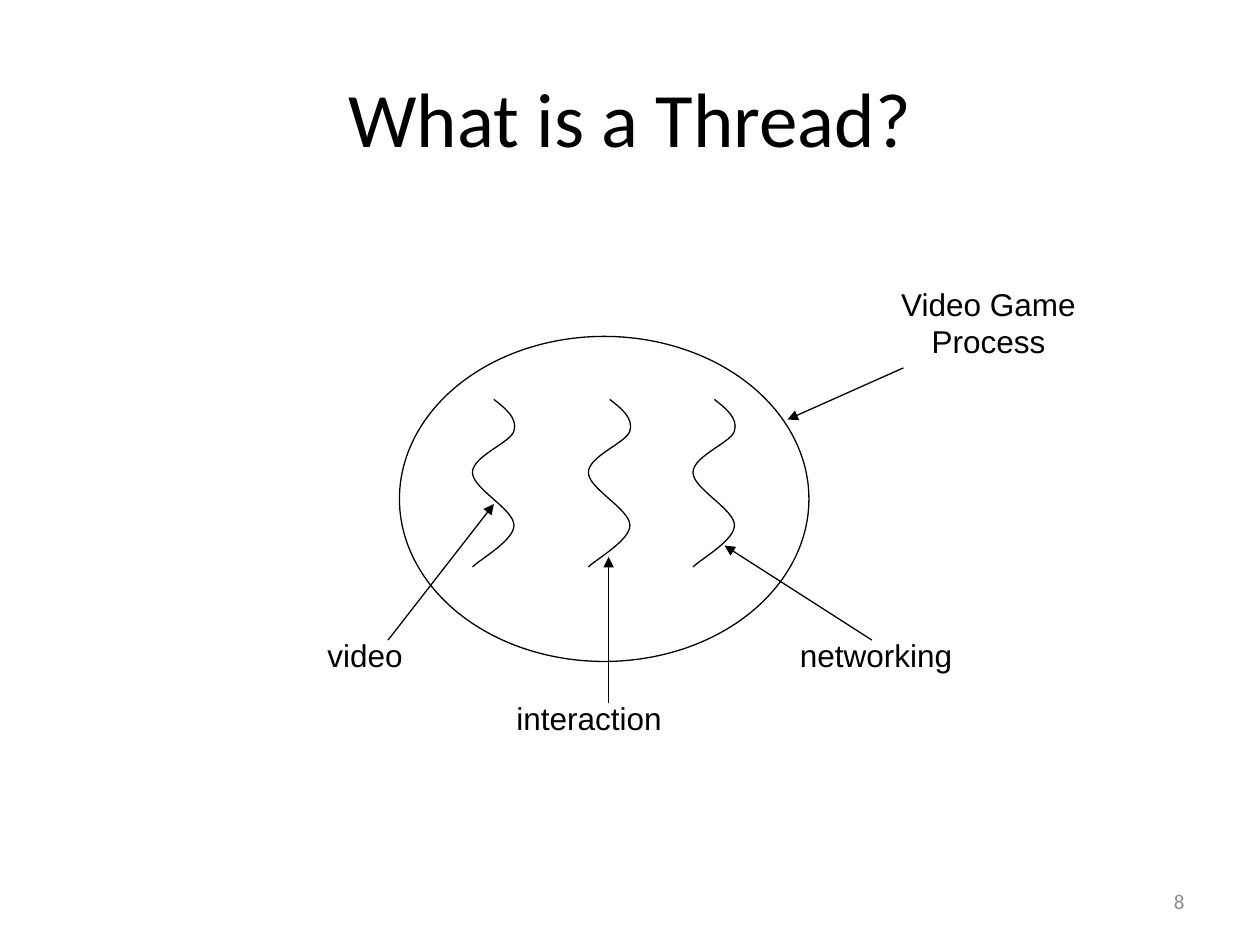
import pptx
import pptx.util
import pptx.dml.color
import pptx.enum.shapes
import pptx.enum.text
import pptx.oxml.ns
import lxml.etree

Inches = pptx.util.Inches
Pt = pptx.util.Pt
qn = pptx.oxml.ns.qn
ALIGN = pptx.enum.text.PP_ALIGN
ANCHOR = pptx.enum.text.MSO_ANCHOR
BLACK = pptx.dml.color.RGBColor(0, 0, 0)
GREY = pptx.dml.color.RGBColor(0x8C, 0x8C, 0x8C)

deck = pptx.Presentation()
deck.slide_width = Inches(10)
deck.slide_height = Inches(7.5)
slide = deck.slides.add_slide(deck.slide_layouts[6])
shapes = slide.shapes


def write(text, box, size=18, font="Arial", color=BLACK,
          align=ALIGN.LEFT, anchor=ANCHOR.TOP, wrap=False):
    frame = shapes.add_textbox(*[Inches(v) for v in box]).text_frame
    frame.word_wrap = wrap
    frame.vertical_anchor = anchor
    frame.text = text
    for para in frame.paragraphs:
        para.alignment = align
        for run in para.runs:
            run.font.size = Pt(size)
            run.font.name = font
            run.font.color.rgb = color


def outline(shape):
    shape.shadow.inherit = False
    shape.fill.background()
    shape.line.color.rgb = BLACK
    shape.line.width = Pt(0.75)


write("What is a Thread?", (0.5, 0.3, 9, 1.25), size=44, font="Calibri",
      align=ALIGN.CENTER, anchor=ANCHOR.MIDDLE, wrap=True)

oval = shapes.add_shape(pptx.enum.shapes.MSO_SHAPE.OVAL, Inches(3.17),
                        Inches(2.67), Inches(3.25), Inches(2.58))
outline(oval)

wave = [
    (0.17, 0),
    (0.26, 0.07), (0.36, 0.15), (0.33, 0.25),
    (0.31, 0.34), (0, 0.45), (0, 0.58),
    (0, 0.71), (0.33, 0.87), (0.33, 1),
    (0.33, 1.12), (0.06, 1.27), (0, 1.33),
]
for left in (3.75, 4.67, 5.5):
    points = [(Inches(left + x), Inches(3.17 + y)) for x, y in wave]
    build = shapes.build_freeform(*points[0])
    build.add_line_segments(points[1:], close=False)
    thread = build.convert_to_shape()
    outline(thread)
    lines = list(thread.element.iter(qn("a:lnTo")))
    for i in range(0, len(lines), 3):
        curve = lxml.etree.Element(qn("a:cubicBezTo"))
        lines[i].addprevious(curve)
        for line in lines[i:i + 3]:
            curve.append(line[0])
            line.getparent().remove(line)

for text, box in (
    ("video", (2.5, 5, 0.94, 0.5)),
    ("interaction", (4, 5.5, 1.62, 0.5)),
    ("networking", (6.25, 5, 1.72, 0.5)),
):
    write(text, box)

for ends in (
    (3.08, 5.08, 3.92, 4),
    (4.83, 5.58, 4.83, 4.42),
    (6.92, 5.08, 5.75, 4.33),
    (7.17, 2.92, 6.25, 3.33),
):
    arrow = shapes.add_connector(pptx.enum.shapes.MSO_CONNECTOR.STRAIGHT,
                                 *[Inches(v) for v in ends])
    arrow.line.color.rgb = BLACK
    arrow.line.width = Pt(0.75)
    props = arrow.line._get_or_add_ln()
    lxml.etree.SubElement(props, qn("a:tailEnd"), type="triangle")
    lxml.etree.SubElement(props.getparent(), qn("a:effectLst"))

write("Video Game\nProcess", (6.9, 2.21, 1.89, 0.9), align=ALIGN.CENTER)
write("8", (7.17, 6.95, 2.33, 0.4), size=12, font="Calibri", color=GREY,
      align=ALIGN.RIGHT, anchor=ANCHOR.MIDDLE, wrap=True)

deck.save("out.pptx")
